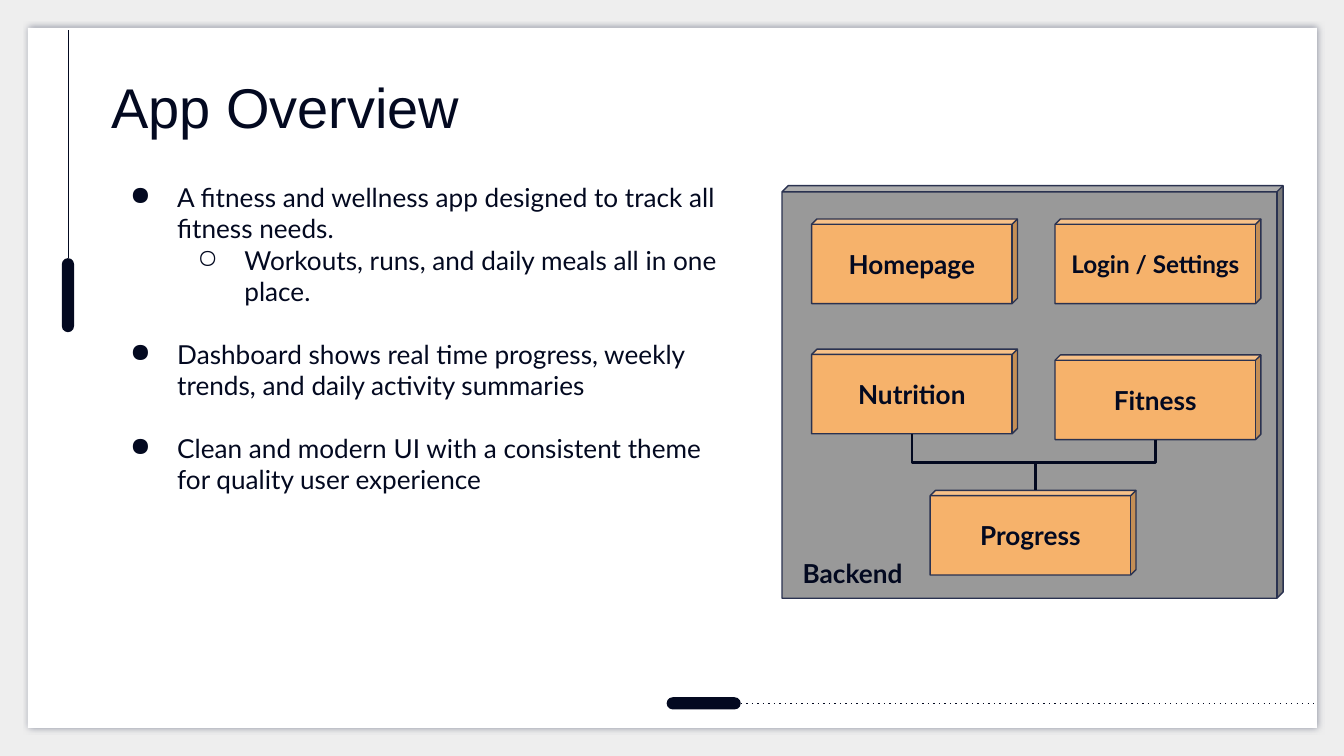
from lxml import etree
from pptx import Presentation
from pptx.dml.color import RGBColor
from pptx.enum.dml import MSO_LINE
from pptx.enum.shapes import MSO_CONNECTOR, MSO_SHAPE
from pptx.enum.text import MSO_ANCHOR, PP_ALIGN
from pptx.oxml.ns import qn
from pptx.util import Cm, Pt

RECT, PILL, CUBE = MSO_SHAPE.RECTANGLE, MSO_SHAPE.ROUNDED_RECTANGLE, MSO_SHAPE.CUBE
STRAIGHT, ELBOW = MSO_CONNECTOR.STRAIGHT, MSO_CONNECTOR.ELBOW
TOP, MIDDLE, BOTTOM = MSO_ANCHOR.TOP, MSO_ANCHOR.MIDDLE, MSO_ANCHOR.BOTTOM
LEFT, CENTER = PP_ALIGN.LEFT, PP_ALIGN.CENTER
DOTTED = MSO_LINE.ROUND_DOT

COLORS = {"page": "EEEEEE", "card": "FFFFFF", "ink": "030920",
          "edge": "2A3250", "backend": "999999", "module": "F6B26B"}
INSET = 0.25
MODULE_W, MODULE_H, MODULE_ADJ = 3.89, 1.6, 0.063
MODULE_DEPTH = MODULE_H * MODULE_ADJ


def rgb(name):
    return RGBColor.from_string(COLORS[name])


def write(p, text, size=14, font="Lato", bold=False, color="ink", align=LEFT):
    """Put one formatted run into a paragraph."""
    p.alignment = align
    r = p.add_run()
    r.text = text
    r.font.size, r.font.name, r.font.bold = Pt(size), font, bold
    r.font.color.rgb = rgb(color)


def add_bullet(p, char, indent, hanging=0.89):
    pPr = p._p.get_or_add_pPr()
    pPr.set("marL", str(Cm(indent)))
    pPr.set("indent", str(-Cm(hanging)))
    color = etree.SubElement(pPr, qn("a:buClr"))
    etree.SubElement(color, qn("a:srgbClr"), val=COLORS["ink"])
    etree.SubElement(pPr, qn("a:buChar"), char=char)


class Deck:
    """Style and current slide."""

    def __init__(self, prs):
        self.s = prs.slides.add_slide(prs.slide_layouts[6])
        fill = self.s.background.fill
        fill.solid()
        fill.fore_color.rgb = rgb("page")

    def frame(self, sp, anchor):
        tf = sp.text_frame
        tf.word_wrap = True
        tf.vertical_anchor = anchor
        tf.margin_left = tf.margin_right = Cm(INSET)
        tf.margin_top = tf.margin_bottom = Cm(INSET)
        return tf

    def shape(self, kind, x, y, w, h, fill, edge=None, adj=None):
        sp = self.s.shapes.add_shape(kind, Cm(x), Cm(y), Cm(w), Cm(h))
        sp.shadow.inherit = False
        sp.fill.solid()
        sp.fill.fore_color.rgb = rgb(fill)
        if edge:
            sp.line.color.rgb = rgb(edge)
            sp.line.width = Pt(0.75)
        else:
            sp.line.fill.background()
        if adj is not None:
            sp.adjustments[0] = adj
        return sp

    def card(self, x, y, w, h):
        sp = self.shape(RECT, x, y, w, h, "card")
        effects = sp._element.spPr.find(qn("a:effectLst"))
        shadow = etree.SubElement(effects, qn("a:outerShdw"), blurRad=str(Pt(3.4)),
                                  dist=str(Pt(0.8)), dir="0", algn="bl", rotWithShape="0")
        color = etree.SubElement(shadow, qn("a:srgbClr"), val=COLORS["edge"])
        etree.SubElement(color, qn("a:alpha"), val="50000")

    def text(self, x, y, w, h, anchor=TOP):
        sp = self.s.shapes.add_textbox(Cm(x), Cm(y), Cm(w), Cm(h))
        return self.frame(sp, anchor)

    def module(self, x, y, label, size=14):
        sp = self.shape(CUBE, x, y, MODULE_W, MODULE_H, "module", "edge", MODULE_ADJ)
        tf = self.frame(sp, MIDDLE)
        write(tf.paragraphs[0], label, size=size, bold=True, align=CENTER)

    def line(self, x1, y1, x2, y2, kind=STRAIGHT, width=0.75, dotted=False):
        c = self.s.shapes.add_connector(kind, Cm(x1), Cm(y1), Cm(x2), Cm(y2))
        c.line.color.rgb = rgb("ink")
        c.line.width = Pt(width)
        spPr = c._element.spPr
        if dotted:
            c.line.dash_style = DOTTED
            spPr.find(".//" + qn("a:prstDash")).set("val", "dot")
        etree.SubElement(spPr, qn("a:effectLst"))
        return c

    def elbow_down(self, x1, y1, x2, y2, bend_y):
        """Elbow that leaves downwards: a sideways elbow turned by a quarter."""
        cx, cy = (x1 + x2) / 2, (y1 + y2) / 2
        half_w, half_h = (y2 - y1) / 2, abs(x2 - x1) / 2
        side = 1 if x2 > x1 else -1
        c = self.line(cx + side * half_w, cy - half_h, cx - side * half_w, cy + half_h,
                      kind=ELBOW, width=1.5)
        spPr = c._element.spPr
        spPr.find(qn("a:xfrm")).set("rot", str((270 if side > 0 else 90) * 60000))
        guides = spPr.find(qn("a:prstGeom")).get_or_add_avLst()
        bend = round((bend_y - y1) / (y2 - y1) * 100000)
        etree.SubElement(guides, qn("a:gd"), name="adj1", fmla=f"val {bend}")


def main():
    prs = Presentation()
    prs.slide_width, prs.slide_height = Cm(25.4), Cm(14.29)
    deck = Deck(prs)

    # Card with its two line ornaments
    deck.card(0.53, 0.53, 24.36, 13.23)
    deck.shape(PILL, 12.6, 13.18, 1.4, 0.23, "ink", adj=0.5)
    deck.line(14, 13.3, 24.87, 13.3, dotted=True)
    deck.shape(PILL, 1.17, 4.88, 0.23, 1.4, "ink", adj=0.5)
    deck.line(1.29, 4.88, 1.29, 0.56)

    # Title
    tf = deck.text(1.85, 1.3, 16.92, 1.6, anchor=BOTTOM)
    write(tf.paragraphs[0], "App Overview", size=30, font="Arial")

    # Backend diagram
    deck.shape(CUBE, 14.78, 3.51, 9.47, 7.8, "backend", "edge", 0.015)
    left, right = 15.34, 19.94
    nutrition, fitness, progress = (left, 6.6), (right, 6.71), (17.58, 9.27)
    deck.module(left, 4.14, "Homepage")
    deck.module(right, 4.14, "Login / Settings", size=13)
    deck.module(*nutrition, "Nutrition")
    deck.module(*fitness, "Fitness")
    deck.module(*progress, "Progress")

    # Nutrition and Fitness feed Progress
    end_x = progress[0] + (MODULE_W + MODULE_DEPTH) / 2
    for x, y in (nutrition, fitness):
        start_x = x + (MODULE_W - MODULE_DEPTH) / 2
        deck.elbow_down(start_x, y + MODULE_H, end_x, progress[1], bend_y=8.74)

    tf = deck.text(14.86, 10.29, 2.51, 0.74)
    write(tf.paragraphs[0], "Backend", bold=True, align=CENTER)

    # Feature list: text, level, space before in points
    features = [
        ("A fitness and wellness app designed to track all fitness needs.", 0, 0),
        ("Workouts, runs, and daily meals all in one place.", 1, 0),
        ("Dashboard shows real time progress, weekly trends, and daily activity summaries",
         0, 16.8),
        ("Clean and modern UI with a consistent theme for quality user experience", 0, 16.8),
    ]
    tf = deck.text(1.83, 3.18, 12.07, 9.22)
    for i, (text, level, gap) in enumerate(features):
        p = tf.add_paragraph() if i else tf.paragraphs[0]
        p.level = level
        add_bullet(p, "●○"[level], indent=1.27 * (level + 1))
        if gap:
            p.space_before = Pt(gap)
        write(p, text)

    prs.save("out.pptx")


if __name__ == "__main__":
    main()
